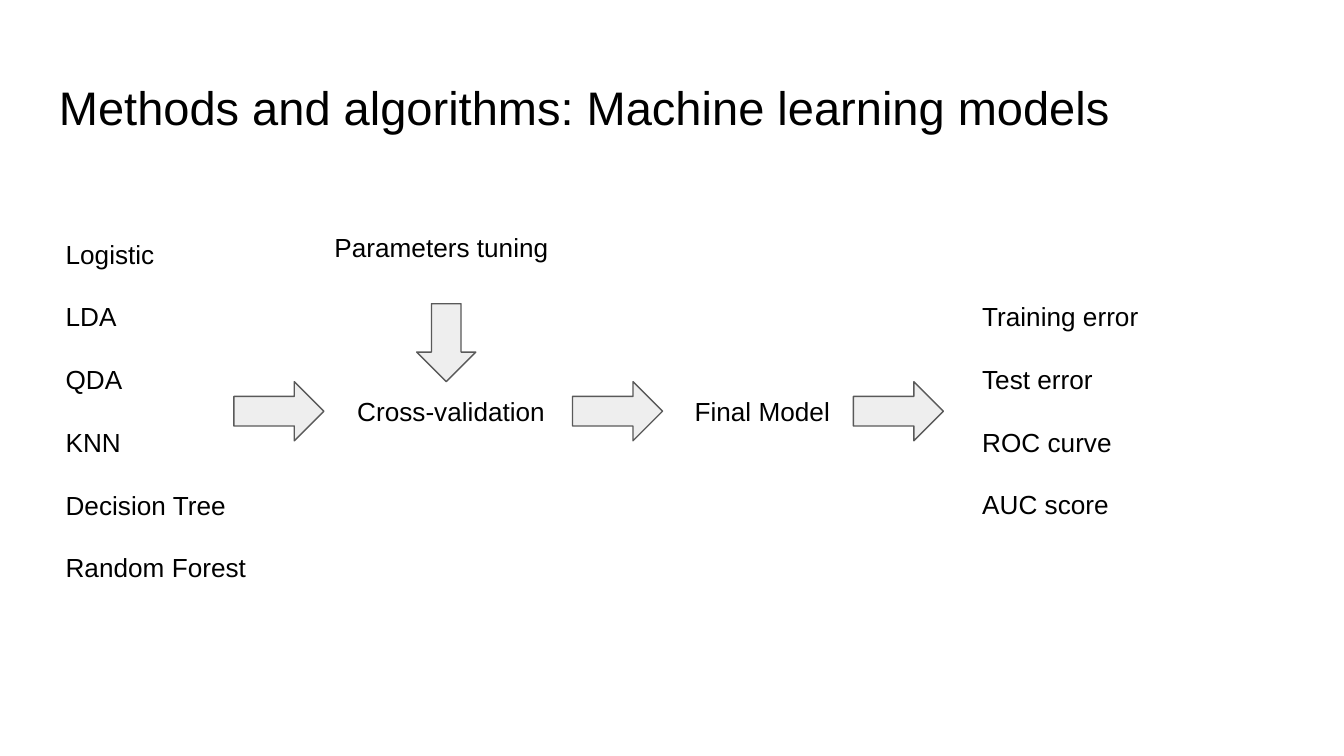
from pptx import Presentation, util as u
from pptx.dml.color import RGBColor
from pptx.enum import shapes, text


def color(hex_code):
    return RGBColor.from_string(hex_code)


class FlowSlide:
    """Style and current slide; lengths are in columns and rows of a square grid."""
    CELL = u.Inches(0.1)
    FONT, INK = "Arial", "000000"
    FILL, EDGE = "EEEEEE", "595959"
    BODY, GAP = 14, 16.8
    LABEL_WIDTH, ROW_HEIGHT = 18.7, 4.4

    def __init__(self, deck):
        self.slide = deck.slides.add_slide(deck.slide_layouts[6])

    def cells(self, *counts):
        return [round(count * self.CELL) for count in counts]

    def label(self, col, row, *lines, width=LABEL_WIDTH, height=ROW_HEIGHT, size=BODY):
        box = self.slide.shapes.add_textbox(*self.cells(col, row, width, height))
        frame = box.text_frame
        frame.word_wrap = True
        frame.vertical_anchor = text.MSO_ANCHOR.TOP
        frame.margin_left = frame.margin_right = self.CELL
        frame.margin_top = frame.margin_bottom = self.CELL
        for index, line in enumerate(lines):
            paragraph = frame.paragraphs[0] if index == 0 else frame.add_paragraph()
            paragraph.space_before = u.Pt(self.GAP if index else 0)
            run = paragraph.add_run()
            run.text = line
            run.font.name = self.FONT
            run.font.size = u.Pt(size)
            run.font.color.rgb = color(self.INK)

    def arrow(self, col, row, length=6.7, rotation=0):
        block = self.slide.shapes.add_shape(
            shapes.MSO_SHAPE.RIGHT_ARROW, *self.cells(col, row, length, self.ROW_HEIGHT))
        block.rotation = rotation
        block.shadow.inherit = False
        block.fill.solid()
        block.fill.fore_color.rgb = color(self.FILL)
        block.line.color.rgb = color(self.EDGE)
        block.line.width = u.Pt(0.75)


def main():
    deck = Presentation()
    deck.slide_width = u.Inches(10)
    deck.slide_height = deck.slide_width * 9 // 16
    flow = FlowSlide(deck)
    flow_row = 28.4

    # Title
    flow.label(3.4, 4.85, "Methods and algorithms: Machine learning models",
               width=93.2, height=6.3, size=25.2)

    # Candidate models
    flow.label(3.9, 16.7, "Logistic", "LDA", "QDA", "KNN", "Decision Tree",
               "Random Forest", height=27.9)

    # Validation, with tuning feeding in from above
    flow.label(25.6, flow_row, "Cross-validation")
    flow.arrow(30.3, 23.3, length=5.8, rotation=90)
    flow.label(23.9, 16.25, "Parameters tuning")

    # Chosen model and the arrows between stages
    flow.label(50.7, flow_row, "Final Model")
    for arrow_col in (17.4, 42.6, 63.5):
        flow.arrow(arrow_col, flow_row)

    # Evaluation measures
    flow.label(72.1, 21.35, "Training error", "Test error", "ROC curve", "AUC score",
               height=18.5)

    deck.save("out.pptx")


if __name__ == "__main__":
    main()
